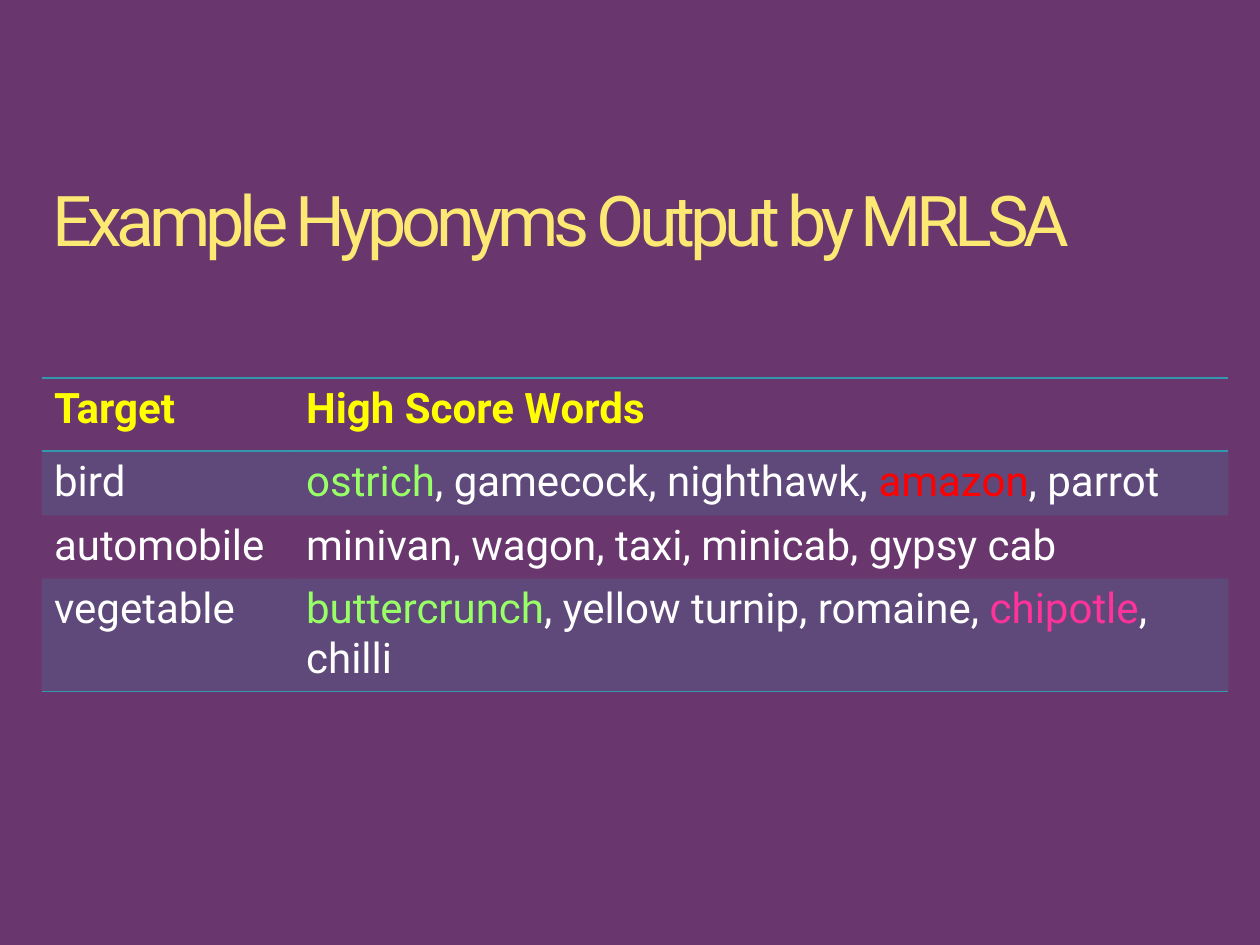
from pptx import Presentation
from pptx.dml.color import RGBColor
from pptx.enum.text import MSO_ANCHOR, PP_ALIGN
from pptx.oxml import parse_xml
from pptx.oxml.ns import nsdecls, qn
from pptx.util import Inches, Pt
from lxml import etree

PLUM = RGBColor(0x6A, 0x36, 0x6E)
GOLD = RGBColor(0xFC, 0xE9, 0x74)
TEAL = RGBColor(0x34, 0x97, 0xAE)
YELLOW = RGBColor(0xFF, 0xFF, 0x00)
WHITE = RGBColor(0xFF, 0xFF, 0xFF)
GREEN = RGBColor(0x99, 0xFF, 0x66)
RED = RGBColor(0xFF, 0x00, 0x00)
PINK = RGBColor(0xFF, 0x33, 0x99)
NO_GRID = "{2D5ABB26-0587-4C30-8999-92F81FD0307C}"


def add_run(para, text, size, color, bold=False):
    run = para.add_run()
    run.text = text
    run.font.name = "Roboto"
    run.font.size = Pt(size)
    run.font.bold = bold
    run.font.color.rgb = color
    return run


def add_line(cell, side):
    cell._tc.get_or_add_tcPr().append(parse_xml(
        f'<a:{side} {nsdecls("a")} w="12700"><a:solidFill>'
        f'<a:srgbClr val="{TEAL}"/></a:solidFill></a:{side}>'))


deck = Presentation()
deck.slide_width = Inches(10)
deck.slide_height = Inches(7.5)
slide = deck.slides.add_slide(deck.slide_layouts[5])
slide.background.fill.solid()
slide.background.fill.fore_color.rgb = PLUM

title = slide.shapes.title
title.left, title.top = Inches(0.42), Inches(1.48)
title.width, title.height = Inches(9.16), Inches(0.61)
frame = title.text_frame
frame.margin_left = frame.margin_right = 0
frame.margin_top = frame.margin_bottom = 0
frame.vertical_anchor = MSO_ANCHOR.TOP
frame.word_wrap = True
para = frame.paragraphs[0]
para.alignment = PP_ALIGN.LEFT
para.line_spacing = 0.9
run = add_run(para, "Example Hyponyms Output by MRLSA", 40, GOLD)
run.font._element.set("spc", "-300")

rows = [
    ("Target", [("High Score Words", YELLOW)]),
    ("bird", [("ostrich", GREEN), (", gamecock, nighthawk, ", WHITE),
              ("amazon", RED), (", parrot", WHITE)]),
    ("automobile", [("minivan, wagon, taxi, minicab, gypsy cab", WHITE)]),
    ("vegetable", [("buttercrunch", GREEN), (", yellow turnip, romaine, ", WHITE),
                   ("chipotle", PINK), (", chilli", WHITE)]),
]
heights = [0.58, 0.51, 0.5, 0.9]
table = slide.shapes.add_table(
    len(rows), 2, Inches(0.33), Inches(3), Inches(9.42), Inches(2.49)).table
table._tbl.tblPr.find(qn("a:tableStyleId")).text = NO_GRID
for col, width in zip(table.columns, [2, 7.42]):
    col.width = Inches(width)

for i, (target, words) in enumerate(rows):
    table.rows[i].height = Inches(heights[i])
    head = i == 0
    first = [(target, YELLOW if head else WHITE)]
    for j, parts in enumerate([first, words]):
        cell = table.cell(i, j)
        for text, color in parts:
            add_run(cell.text_frame.paragraphs[0], text, 24, color, head)
        if head:
            add_line(cell, "lnT")
        if head or i == len(rows) - 1:
            add_line(cell, "lnB")
        if i % 2:
            cell.fill.solid()
            cell.fill.fore_color.rgb = TEAL
            tint = cell._tc.tcPr.find(qn("a:solidFill")).find(qn("a:srgbClr"))
            etree.SubElement(tint, qn("a:alpha")).set("val", "20000")
        else:
            cell.fill.background()

deck.save("out.pptx")
